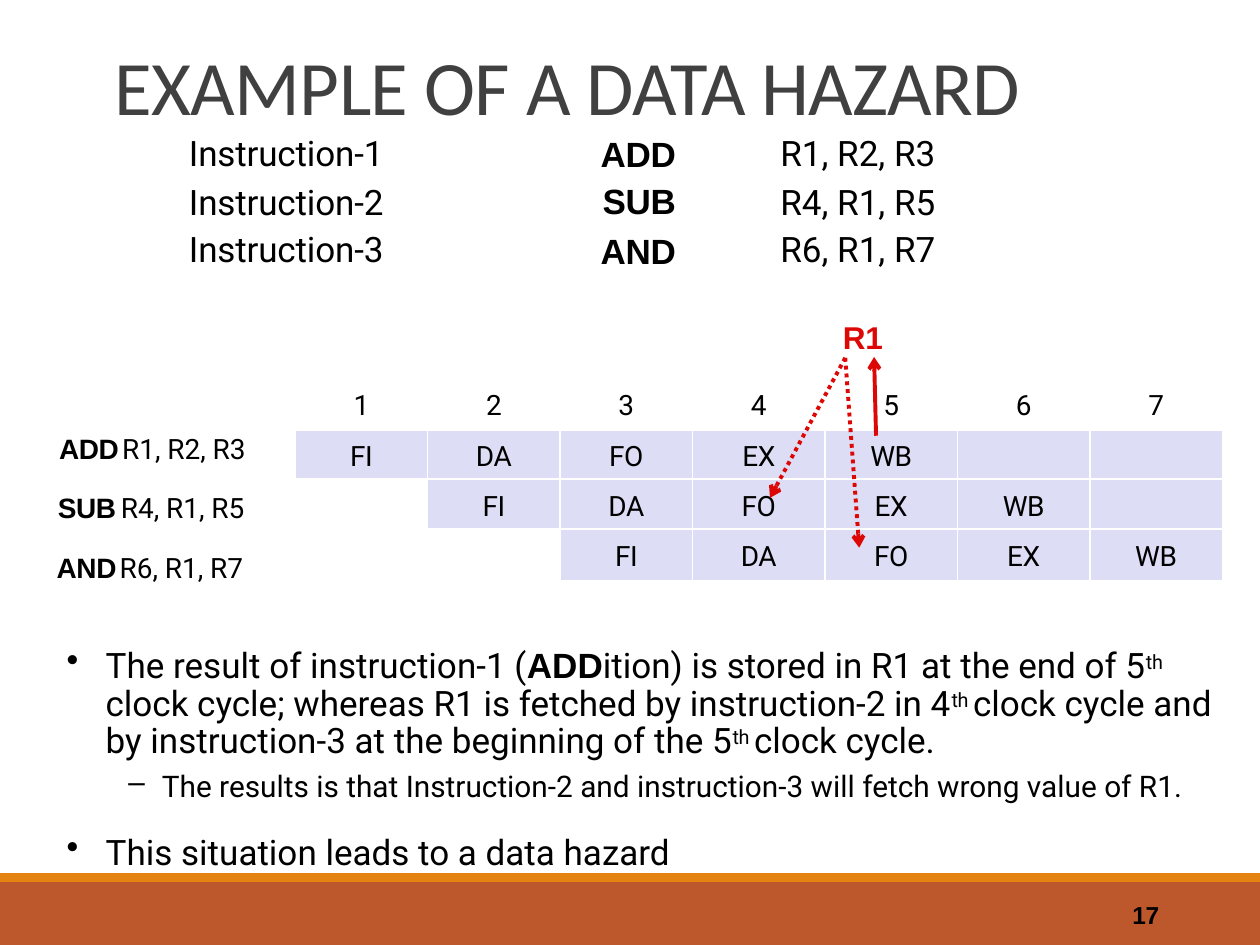
from dataclasses import dataclass
from typing import Optional

import pptx
import pptx.dml.color
import pptx.enum.dml
import pptx.enum.shapes
import pptx.enum.text
import pptx.oxml.ns
import pptx.util
from lxml import etree

Pt = pptx.util.Pt
RGBColor = pptx.dml.color.RGBColor
Align = pptx.enum.text.PP_ALIGN
Anchor = pptx.enum.text.MSO_ANCHOR
Dash = pptx.enum.dml.MSO_LINE
qn = pptx.oxml.ns.qn

BLACK = RGBColor(0x00, 0x00, 0x00)
WHITE = RGBColor(0xFF, 0xFF, 0xFF)
GRAY = RGBColor(0x40, 0x40, 0x40)
RED = RGBColor(0xDD, 0x08, 0x05)
RUST = RGBColor(0xBD, 0x58, 0x2C)
ORANGE = RGBColor(0xE4, 0x83, 0x12)
LAVENDER = RGBColor(0xDD, 0xDD, 0xF5)

STAGES = ["FI", "DA", "FO", "EX", "WB"]
CYCLES = 7


@dataclass
class Instruction:
    opcode: str
    registers: str
    row_height: float
    line_height: Optional[float]
    label_indent: float
    label_tab: float
    label_gap: float


@dataclass
class Arrow:
    start: tuple[float, float]
    end: tuple[float, float]
    dash: Optional[Dash] = None


INSTRUCTIONS = [
    Instruction("ADD", "R1, R2, R3", 25.2, 22.1, 3.6, 57.6, 0),
    Instruction("SUB", "R4, R1, R5", 27.4, None, 2.9, 56.9, 14.5),
    Instruction("AND", "R6, R1, R7", 25.2, 23.2, 2.2, 55.4, 15.1),
]
ARROWS = [
    Arrow((483, 204.5), (440, 284.5), Dash.ROUND_DOT),
    Arrow((483, 204.5), (491, 313), Dash.ROUND_DOT),
    Arrow((500.6, 249), (499.5, 204)),
]


def add_span(para, text: str, *, size: float = 20, font: str = "Roboto",
             bold: bool = False, color: RGBColor = BLACK,
             spacing: float = 0, raised: int = 0):
    """Append text; spacing is in points, raised is a percentage."""
    span = para.add_run()
    span.text = text
    span.font.size = Pt(size)
    span.font.name = font
    span.font.bold = bold
    span.font.color.rgb = color
    properties = span._r.get_or_add_rPr()
    properties.set("spc", str(round(spacing * 100)))
    if raised:
        properties.set("baseline", str(raised * 1000))


def set_indent(para, left: float, first: float = 0, bullet: str = "", tab: float = 0):
    properties = para._p.get_or_add_pPr()
    properties.set("marL", str(Pt(left)))
    properties.set("indent", str(Pt(first)))
    if bullet:
        etree.SubElement(properties, qn("a:buChar"), char=bullet)
    if tab:
        tabs = etree.SubElement(properties, qn("a:tabLst"))
        etree.SubElement(tabs, qn("a:tab"), pos=str(Pt(tab)), algn="l")


def add_box(page, left: float, top: float, width: float, height: float,
            anchor: Anchor = Anchor.TOP):
    frame = page.shapes.add_textbox(Pt(left), Pt(top), Pt(width), Pt(height)).text_frame
    frame.word_wrap = True
    frame.vertical_anchor = anchor
    frame.margin_left = frame.margin_right = frame.margin_top = frame.margin_bottom = 0
    return frame


def add_bar(page, top: float, height: float, color: RGBColor):
    bar = page.shapes.add_shape(pptx.enum.shapes.MSO_SHAPE.RECTANGLE,
                                0, Pt(top), Pt(720), Pt(height))
    bar.shadow.inherit = False
    bar.fill.solid()
    bar.fill.fore_color.rgb = color
    bar.line.fill.background()


def add_grid(page, left: float, top: float, widths: list[float], heights: list[float]):
    """Add an unbanded, unfilled table whose cells have no margins."""
    table = page.shapes.add_table(len(heights), len(widths), Pt(left), Pt(top),
                                  Pt(sum(widths)), Pt(sum(heights))).table
    table.first_row = table.horz_banding = False
    for column, width in zip(table.columns, widths):
        column.width = Pt(width)
    for row, height in zip(table.rows, heights):
        row.height = Pt(height)
    for cell in table.iter_cells():
        cell.fill.background()
        cell.margin_left = cell.margin_right = cell.margin_top = cell.margin_bottom = 0
    return table


def set_borders(cell, **widths: float):
    """Draw white borders, keyed by side (L, R, T, B)."""
    properties = cell._tc.get_or_add_tcPr()
    for index, (side, width) in enumerate(widths.items()):
        line = etree.Element(qn(f"a:ln{side}"), w=str(Pt(width)))
        fill = etree.SubElement(line, qn("a:solidFill"))
        etree.SubElement(fill, qn("a:srgbClr"), val=str(WHITE))
        properties.insert(index, line)


def add_program(page):
    table = add_grid(page, 105.8, 77.8, [175, 130.3, 125.7],
                     [item.row_height for item in INSTRUCTIONS])
    for row, item in enumerate(INSTRUCTIONS):
        texts = [f"Instruction-{row + 1}", item.opcode, item.registers]
        for column, text in enumerate(texts):
            cell = table.cell(row, column)
            cell.margin_top = Pt(1.5 if row else 0)
            cell.margin_left = Pt(0 if column else 2.2)
            cell.margin_right = Pt([0, 24.8, 2.2][column])
            para = cell.text_frame.paragraphs[0]
            para.alignment = Align.RIGHT if column else Align.LEFT
            if item.line_height:
                para.line_spacing = Pt(item.line_height)
            is_opcode = column == 1
            add_span(para, text, font="Arial" if is_opcode else "Roboto",
                     bold=is_opcode, spacing=[-0.1, -0.2, 0][column])


def add_pipeline(page):
    table = add_grid(page, 168.7, 216, [75.7] * CYCLES, [28.8, 28.8, 28.8, 29.5])
    rows = [[str(cycle + 1) for cycle in range(CYCLES)]]
    for delay in range(len(INSTRUCTIONS)):
        rows.append(([""] * delay + STAGES + [""] * CYCLES)[:CYCLES])
    for row, texts in enumerate(rows):
        for column, text in enumerate(texts):
            cell = table.cell(row, column)
            if row and column >= row - 1:
                cell.fill.solid()
                cell.fill.fore_color.rgb = LAVENDER
            set_borders(cell, L=1, R=1, T=3 if row == 1 else 1, B=1 if row else 3)
            if text:
                cell.margin_top = Pt(6.8)
                para = cell.text_frame.paragraphs[0]
                para.alignment = Align.CENTER
                add_span(para, text, size=16, spacing=-0.2)


def add_row_labels(page):
    frame = add_box(page, 30.2, 246.4, 135, 92)
    for index, item in enumerate(INSTRUCTIONS):
        para = frame.add_paragraph() if index else frame.paragraphs[0]
        para.space_before = Pt(item.label_gap)
        set_indent(para, item.label_indent, tab=item.label_tab)
        add_span(para, item.opcode + "\t", size=16, font="Arial", bold=True, spacing=-0.2)
        add_span(para, item.registers, size=16)


def add_explanation(page):
    frame = add_box(page, 30.2, 370, 678.2, 128)
    result = frame.paragraphs[0]
    result.line_spacing = Pt(21.6)
    set_indent(result, 30.2, -22.3, bullet="•")
    ordinal = dict(size=19.5, spacing=-0.2, raised=26)
    add_span(result, "The result of instruction-1 (")
    add_span(result, "ADD", font="Arial", bold=True)
    add_span(result, "ition) is stored in R1 at the end of 5")
    for following in ["clock cycle; whereas R1 is fetched by instruction-2 in 4",
                      "clock cycle and by instruction-3 at the beginning of the 5",
                      "clock cycle."]:
        add_span(result, "th ", **ordinal)
        add_span(result, following)

    effect = frame.add_paragraph()
    effect.space_before = Pt(3.9)
    set_indent(effect, 62.3, -19.1, bullet="–")
    add_span(effect, "The results is that Instruction-2 and instruction-3 "
                     "will fetch wrong value of R1.", size=17)

    conclusion = frame.add_paragraph()
    conclusion.space_before = Pt(15.5)
    set_indent(conclusion, 30.2, -22.3, bullet="•")
    add_span(conclusion, "This situation leads to a data hazard")


def add_arrow(page, arrow: Arrow):
    connector = page.shapes.add_connector(
        pptx.enum.shapes.MSO_CONNECTOR.STRAIGHT,
        *(Pt(value) for value in arrow.start + arrow.end))
    connector.line.color.rgb = RED
    connector.line.width = Pt(2.25)
    if arrow.dash:
        connector.line.dash_style = arrow.dash
    etree.SubElement(connector.line._get_or_add_ln(), qn("a:tailEnd"), type="arrow")
    etree.SubElement(connector._element.spPr, qn("a:effectLst"))


def main():
    deck = pptx.Presentation()
    deck.slide_width, deck.slide_height = Pt(720), Pt(540)
    page = deck.slides.add_slide(deck.slide_layouts[6])
    add_bar(page, 504, 36, RUST)
    add_bar(page, 499, 5, ORANGE)

    number = add_box(page, 584.6, 508.3, 77.8, 28.8, Anchor.MIDDLE).paragraphs[0]
    number.alignment = Align.RIGHT
    number.line_spacing = Pt(16.5)
    add_span(number, "17", size=14, font="Arial", bold=True, spacing=-0.2)
    title = add_box(page, 65.5, 20.2, 528.5, 54.7, Anchor.BOTTOM).paragraphs[0]
    add_span(title, "EXAMPLE OF A DATA HAZARD", size=44, font="Calibri",
             color=GRAY, spacing=-0.4)

    add_program(page)
    add_pipeline(page)
    add_row_labels(page)
    add_explanation(page)
    register = add_box(page, 481.7, 181.7, 25.2, 22).paragraphs[0]
    add_span(register, "R1", size=18, font="Arial", bold=True, color=RED, spacing=-0.2)
    for arrow in ARROWS:
        add_arrow(page, arrow)
    deck.save("out.pptx")


if __name__ == "__main__":
    main()
